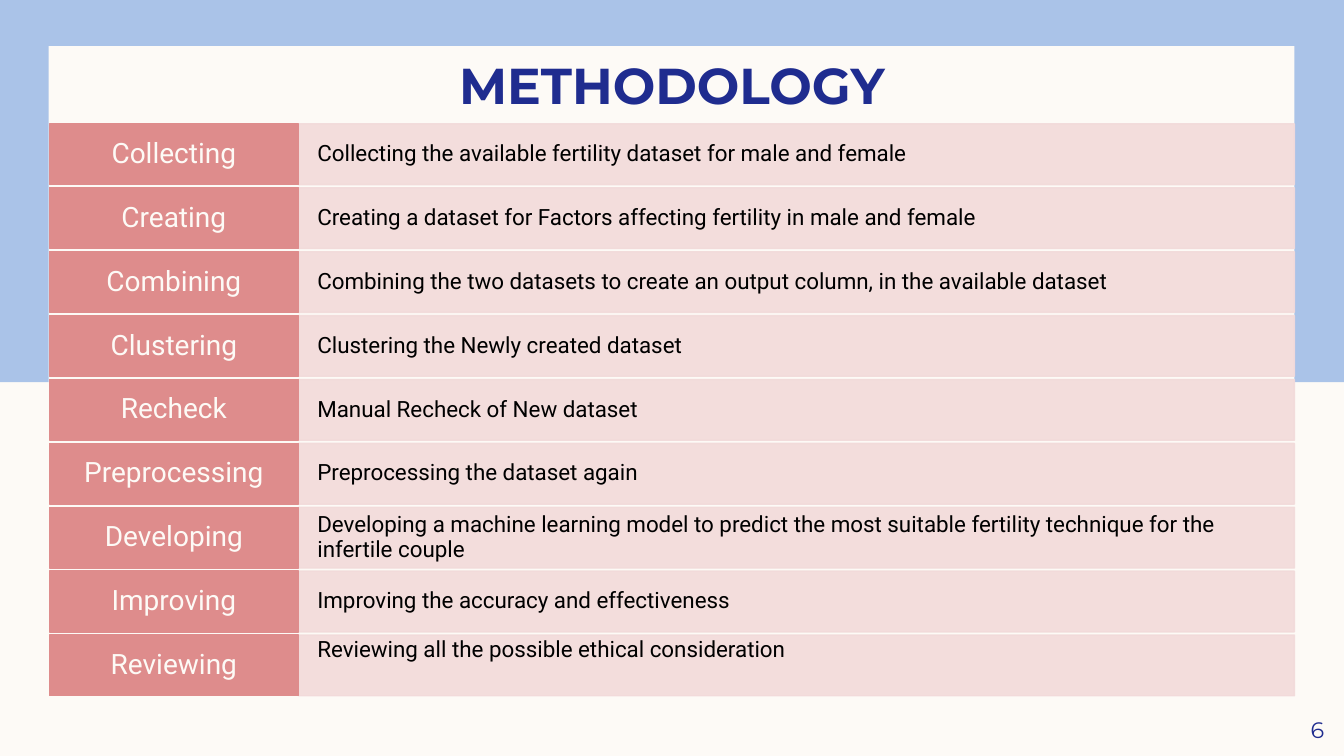
import pptx
import pptx.util
import pptx.dml.color
import pptx.enum.shapes
import pptx.enum.text
import pptx.oxml.ns
import lxml.etree

Pt = pptx.util.Pt
Align = pptx.enum.text.PP_ALIGN
Anchor = pptx.enum.text.MSO_ANCHOR


def hue(code):
    return pptx.dml.color.RGBColor.from_string(code)


def write(shape, text, size, color, font="Roboto", bold=False, align=Align.LEFT,
          anchor=Anchor.MIDDLE, pad=(7.2, 3.6, 7.2, 3.6), space=1.0):
    frame = shape.text_frame
    frame.auto_size = pptx.enum.text.MSO_AUTO_SIZE.NONE
    frame.word_wrap = True
    frame.vertical_anchor = anchor
    frame.margin_left, frame.margin_top, frame.margin_right, frame.margin_bottom = map(Pt, pad)
    para = frame.paragraphs[0]
    para.alignment = align
    para.line_spacing = space
    run = para.add_run()
    run.text = text
    run.font.name = font
    run.font.size = Pt(size)
    run.font.bold = bold
    run.font.color.rgb = hue(color)


NAVY, CREAM, BLUE, ROSE, BLUSH = "1F2C8F", "FDFAF6", "AAC3E8", "DE8C8C", "F2DADA"
STEPS = [
    ("Collecting", "Collecting the available fertility dataset for male and female"),
    ("Creating", "Creating a dataset for Factors affecting fertility in male and female"),
    ("Combining", "Combining the two datasets to create an output column, in the available dataset"),
    ("Clustering", "Clustering the Newly created dataset"),
    ("Recheck", "Manual Recheck of New dataset"),
    ("Preprocessing", "Preprocessing the dataset again"),
    ("Developing", "Developing a machine learning model to predict the most suitable "
                   "fertility technique for the infertile couple"),
    ("Improving", "Improving the accuracy and effectiveness"),
    ("Reviewing", "Reviewing all the possible ethical consideration"),
]
TOP, PITCH, HIGH = 88.5, 45.64, 43.4
LEFT, SPLIT, RIGHT = 35.2, 213.2, 924.6

deck = pptx.Presentation()
deck.slide_width, deck.slide_height = Pt(960), Pt(540)
slide = deck.slides.add_slide(deck.slide_layouts[5])
slide.background.fill.solid()
slide.background.fill.fore_color.rgb = hue(CREAM)

title = slide.shapes.title
title.left, title.top, title.width, title.height = Pt(66), Pt(29.5), Pt(828), Pt(52.6)
write(title, "METHODOLOGY", 36, NAVY, font="Montserrat", bold=True,
      align=Align.CENTER, anchor=Anchor.BOTTOM, pad=(7.2, 0, 7.2, 0))

boxes = [(-2, 0, 962, 273, BLUE, None, {}),
         (34.8, 33, 889.8, 474.6, CREAM, None, {})]
for row, (label, detail) in enumerate(STEPS):
    y = TOP + row * PITCH
    style = dict(size=16, color="000000", pad=(13.5, 10.8, 13.5, 10.8), space=0.9)
    if label == "Reviewing":
        style.update(anchor=Anchor.TOP, pad=(13.5, 2.2, 13.5, 0))
    boxes.append((SPLIT, y, RIGHT - SPLIT, HIGH, BLUSH, detail, style))
    style = dict(size=20, color=CREAM, align=Align.CENTER, pad=(9.6, 4.6, 9.6, 4.6), space=0.9)
    boxes.append((LEFT, y, SPLIT - LEFT, HIGH, ROSE, label, style))

for x, y, wide, high, color, text, style in boxes:
    box = slide.shapes.add_shape(pptx.enum.shapes.MSO_SHAPE.RECTANGLE,
                                 Pt(x), Pt(y), Pt(wide), Pt(high))
    box.shadow.inherit = False
    box.fill.solid()
    box.fill.fore_color.rgb = hue(color)
    if text is None:
        box.line.fill.background()
        continue
    box.line.color.rgb = hue(color)
    box.line.width = Pt(1)
    if color == BLUSH:
        for tone in box._element.spPr.iter(pptx.oxml.ns.qn("a:srgbClr")):
            lxml.etree.SubElement(tone, pptx.oxml.ns.qn("a:alpha"), val="90000")
    write(box, text, **style)

slide.shapes._spTree.append(title._element)
page = slide.shapes.add_textbox(Pt(862), Pt(502.6), Pt(84), Pt(37.4))
write(page, "6", 16, NAVY, font="Montserrat", align=Align.RIGHT, pad=(7.2, 3.6, 0, 3.6))

deck.save("out.pptx")
